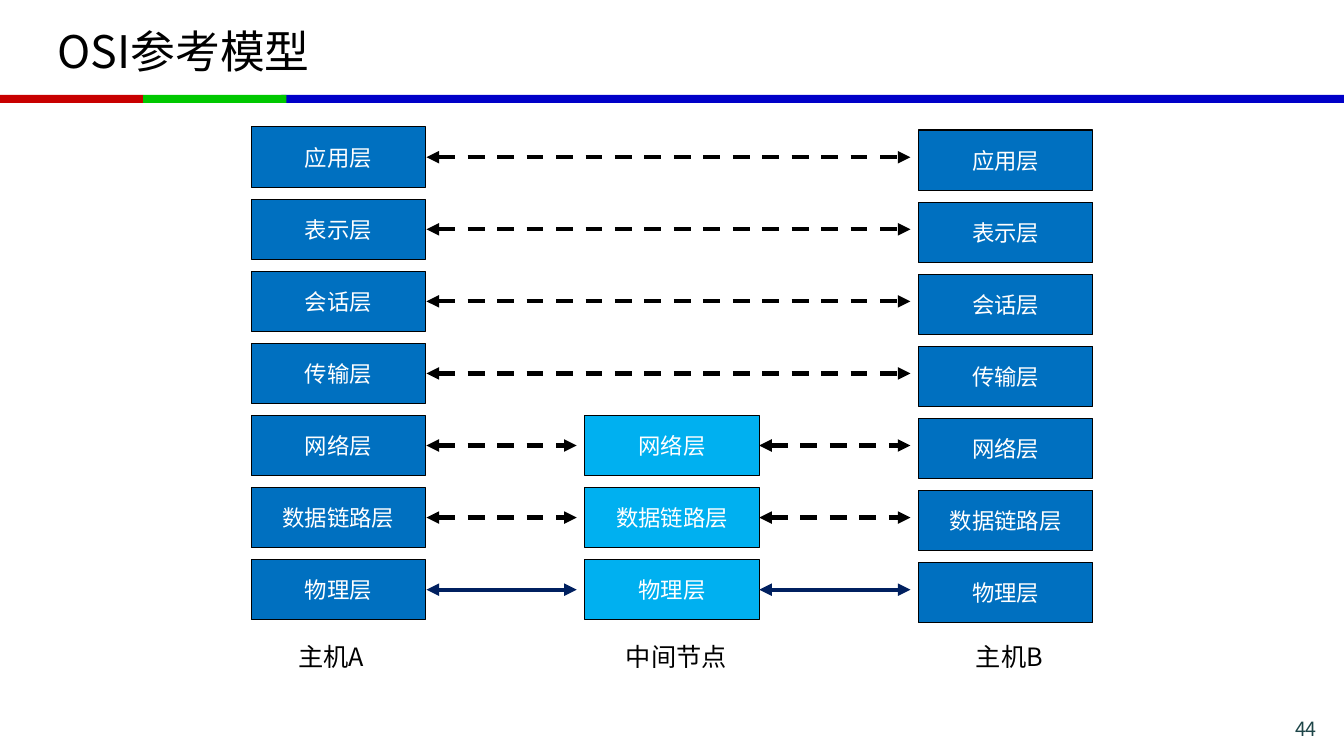
"""Build the slide that shows the seven layers of the OSI reference model."""
from lxml.etree import SubElement
from pptx import Presentation
from pptx.dml.color import RGBColor
from pptx.enum.dml import MSO_LINE
from pptx.enum.shapes import MSO_CONNECTOR, MSO_SHAPE
from pptx.enum.text import MSO_ANCHOR, PP_ALIGN
from pptx.oxml.ns import qn
from pptx.util import Inches, Pt

FONT = "Noto Sans CJK SC"
BLACK = RGBColor(0x00, 0x00, 0x00)
WHITE = RGBColor(0xFF, 0xFF, 0xFF)
RED = RGBColor(0xC8, 0x00, 0x00)
GREEN = RGBColor(0x00, 0xC8, 0x00)
BLUE = RGBColor(0x00, 0x00, 0xC8)
HOST_BLUE = RGBColor(0x00, 0x70, 0xC0)
NODE_BLUE = RGBColor(0x00, 0xB0, 0xF0)
NAVY = RGBColor(0x00, 0x20, 0x60)
PAGE_TEAL = RGBColor(0x1E, 0x46, 0x49)

LAYERS = ["应用层", "表示层", "会话层", "传输层", "网络层", "数据链路层", "物理层"]
FIRST_NODE_LAYER = LAYERS.index("网络层")
LAYER_TOP = 1.26
LAYER_PITCH = (5.55 - LAYER_TOP) / (len(LAYERS) - 1)
BOX_WIDTH, BOX_HEIGHT = 1.73, 0.6


def add_rectangle(left, top, width, height, color):
    shape = slide.shapes.add_shape(
        MSO_SHAPE.RECTANGLE, Inches(left), Inches(top), Inches(width), Inches(height))
    shape.shadow.inherit = False
    shape.fill.solid()
    shape.fill.fore_color.rgb = color
    shape.line.fill.background()
    return shape


def write_text(shape, text, size, color, align=PP_ALIGN.LEFT, anchor=MSO_ANCHOR.TOP, wrap=True):
    frame = shape.text_frame
    frame.word_wrap = wrap
    frame.vertical_anchor = anchor
    paragraph = frame.paragraphs[0]
    paragraph.alignment = align
    run = paragraph.add_run()
    run.text = text
    run.font.size = Pt(size)
    run.font.name = FONT
    run.font.color.rgb = color
    east_asian = SubElement(run.font._element, qn("a:ea"))
    east_asian.set("typeface", FONT)


presentation = Presentation()
presentation.slide_width = Inches(13.33)
presentation.slide_height = Inches(7.5)
slide = presentation.slides.add_slide(presentation.slide_layouts[6])

for left, width, color in [(2.79, 10.54, BLUE), (0, 1.42, RED), (1.42, 1.42, GREEN)]:
    add_rectangle(left, 0.94, width, 0.08, color)

title = slide.shapes.add_textbox(Inches(0.47), Inches(0.08), Inches(12.39), Inches(0.84))
write_text(title, "OSI参考模型", 32, BLACK, anchor=MSO_ANCHOR.MIDDLE)

page_number = slide.shapes.add_textbox(Inches(11.86), Inches(7.06), Inches(1.3), Inches(0.28))
write_text(page_number, "44", 14, PAGE_TEAL, align=PP_ALIGN.RIGHT)

columns = [
    (2.49, 0, 0, HOST_BLUE),
    (5.8, 0, FIRST_NODE_LAYER, NODE_BLUE),
    (9.11, 0.03, 0, HOST_BLUE),
]
for left, offset, first_layer, color in columns:
    for index, layer in enumerate(LAYERS[first_layer:], first_layer):
        top = LAYER_TOP + offset + index * LAYER_PITCH
        box = add_rectangle(left, top, BOX_WIDTH, BOX_HEIGHT, color)
        box.line.color.rgb = BLACK
        box.line.width = Pt(0.75)
        write_text(box, layer, 16, WHITE, PP_ALIGN.CENTER, MSO_ANCHOR.MIDDLE, wrap=False)

for index, layer in enumerate(LAYERS):
    spans = [(4.23, 9.03)] if index < FIRST_NODE_LAYER else [(4.23, 5.72), (7.53, 9.03)]
    middle = Inches(LAYER_TOP + index * LAYER_PITCH + BOX_HEIGHT / 2)
    physical = layer == "物理层"
    for start, end in spans:
        arrow = slide.shapes.add_connector(
            MSO_CONNECTOR.STRAIGHT, Inches(start), middle, Inches(end), middle)
        arrow.line.width = Pt(3)
        arrow.line.color.rgb = NAVY if physical else BLACK
        if not physical:
            arrow.line.dash_style = MSO_LINE.DASH
        line = arrow.line._get_or_add_ln()
        for arrowhead in ("a:headEnd", "a:tailEnd"):
            SubElement(line, qn(arrowhead)).set("type", "triangle")
        SubElement(arrow._element.spPr, qn("a:effectLst"))

for left, width, name in [(2.86, 0.88, "主机A"), (6.11, 1.21, "中间节点"), (9.58, 0.88, "主机B")]:
    caption = slide.shapes.add_textbox(Inches(left), Inches(6.31), Inches(width), Inches(0.4))
    write_text(caption, name, 18, BLACK)

presentation.save("out.pptx")
